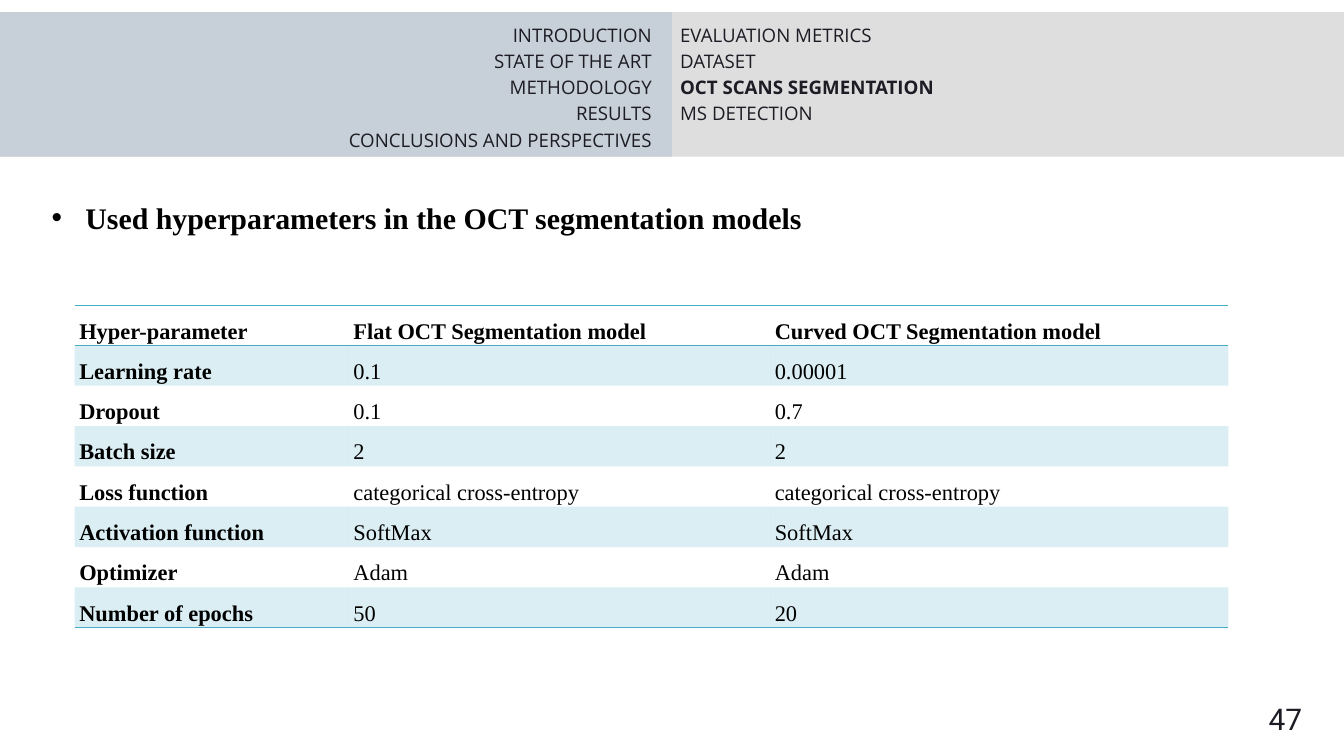
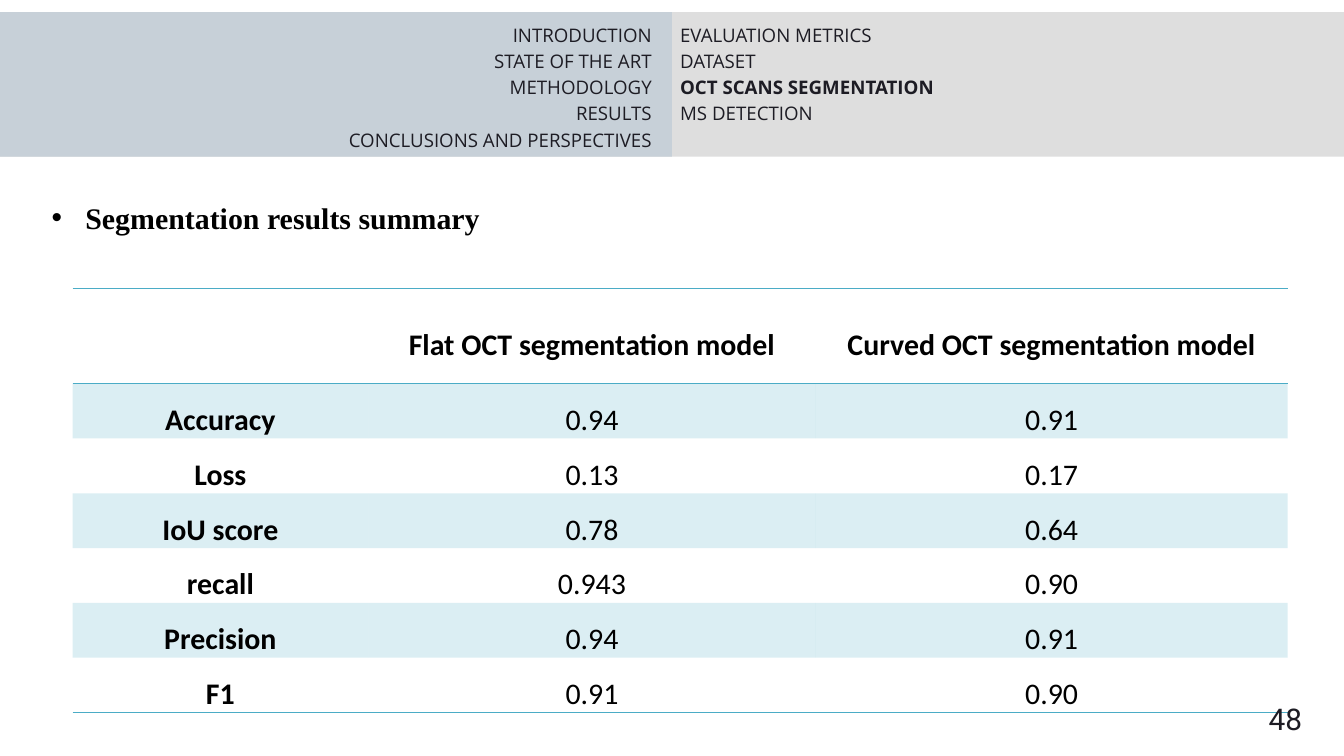
from dataclasses import dataclass

from lxml import etree
from pptx import Presentation, util as u
from pptx.dml.color import RGBColor
from pptx.enum import shapes as sh, text as tx
from pptx.oxml import ns

COLS, ROWS = 20, 11.25
WIDE, HIGH = u.Inches(20), u.Inches(11.25)
INK, BLACK, TEAL = "1D1C24", "000000", "4BACC6"
LEFT, MID, RIGHT, EVEN = (tx.PP_ALIGN.LEFT, tx.PP_ALIGN.CENTER,
                          tx.PP_ALIGN.RIGHT, tx.PP_ALIGN.JUSTIFY)


def cols(n: float) -> int:
    return round(WIDE * n / COLS)


def rows(n: float) -> int:
    return round(HIGH * n / ROWS)


@dataclass(frozen=True)
class Box:
    """Place on the grid: columns across, rows down."""
    x: float
    y: float
    w: float
    h: float

    def place(self) -> tuple[int, int, int, int]:
        return cols(self.x), rows(self.y), cols(self.w), rows(self.h)


@dataclass(frozen=True)
class Font:
    name: str
    size: int
    color: str = INK
    bold: bool = False


@dataclass(frozen=True)
class Band:
    box: Box
    color: str


@dataclass(frozen=True)
class Menu:
    box: Box
    align: tx.PP_ALIGN
    items: list[str]
    active: str = ""


@dataclass(frozen=True)
class Grid:
    x: float
    y: float
    widths: list[float]
    head: float
    row: float
    font: str
    size: int
    align: tx.PP_ALIGN
    cells: list[list[str]]


@dataclass(frozen=True)
class Page:
    title: str
    number: int
    grid: Grid


BANDS = [Band(Box(0, 0.18, COLS, 2.15), "DEDEDE"),
         Band(Box(0, 0.18, COLS / 2, 2.15), "C7D0D8")]
MENUS = [
    Menu(Box(0, 0.3, 9.7, 2.33), RIGHT,
         ["INTRODUCTION", "STATE OF THE ART", "METHODOLOGY", "RESULTS",
          "CONCLUSIONS AND PERSPECTIVES"]),
    Menu(Box(10.12, 0.3, 9.58, 1.55), EVEN,
         ["EVALUATION METRICS", "DATASET", "OCT SCANS SEGMENTATION",
          "MS DETECTION"], "OCT SCANS SEGMENTATION"),
]
TITLE = Box(0.67, 2.92, 12.33, 0.64)
NUMBER = Box(18.88, 10.51, 0.56, 0.47)

PAGES = [
    Page("Used hyperparameters in the OCT segmentation models", 47, Grid(
        1.11, 4.54, [4.08, 6.27, 6.82], 0.6, 0.6, "Times New Roman", 24, EVEN, [
            ["Hyper-parameter", "Flat OCT Segmentation model",
             "Curved OCT Segmentation model"],
            ["Learning rate", "0.1", "0.00001"],
            ["Dropout", "0.1", "0.7"],
            ["Batch size", "2", "2"],
            ["Loss function", "categorical cross-entropy",
             "categorical cross-entropy"],
            ["Activation function", "SoftMax", "SoftMax"],
            ["Optimizer", "Adam", "Adam"],
            ["Number of epochs", "50", "20"],
        ])),
    Page("Segmentation results summary", 48, Grid(
        1.08, 4.29, [4.4, 6.66, 7.02], 1.42, 0.8, "Calibri", 32, MID, [
            ["", "Flat OCT segmentation model", "Curved OCT segmentation model"],
            ["Accuracy", "0.94", "0.91"],
            ["Loss", "0.13", "0.17"],
            ["IoU score", "0.78", "0.64"],
            ["recall", "0.943", "0.90"],
            ["Precision", "0.94", "0.91"],
            ["F1", "0.91", "0.90"],
        ])),
]


def rgb(code: str) -> RGBColor:
    return RGBColor.from_string(code)


def node(up, tag: str, **attrs):
    return etree.SubElement(up, ns.qn(tag), attrs)


def style(par, font: Font, align: tx.PP_ALIGN) -> None:
    par.alignment = align
    for run in par.runs:
        run.font.name, run.font.size = font.name, u.Pt(font.size)
        run.font.bold = font.bold
        run.font.color.rgb = rgb(font.color)


def put(shape, box: Box, inset: bool = False) -> None:
    """Move a text shape and reset its frame."""
    shape.left, shape.top, shape.width, shape.height = box.place()
    frame = shape.text_frame
    frame.word_wrap = True
    frame.auto_size = tx.MSO_AUTO_SIZE.NONE
    frame.vertical_anchor = tx.MSO_ANCHOR.TOP
    if not inset:
        frame.margin_left = frame.margin_right = 0
        frame.margin_top = frame.margin_bottom = 0


def indent(par, hang: int, mark: str = "") -> None:
    """Set the hanging indent and the bullet, if any."""
    props = par._p.get_or_add_pPr()
    props.set("marL", str(hang))
    props.set("indent", str(-hang))
    if mark:
        node(props, "a:buFont", typeface="Arial")
        node(props, "a:buChar", char=mark)
    else:
        node(props, "a:buNone")


def draw_band(slide, band: Band, depth: int) -> None:
    bar = slide.shapes.add_shape(sh.MSO_SHAPE.RECTANGLE, *band.box.place())
    bar.shadow.inherit = False
    bar.fill.solid()
    bar.fill.fore_color.rgb = rgb(band.color)
    bar.line.fill.background()
    slide.shapes._spTree.insert(2 + depth, bar._element)


def draw_menu(shape, menu: Menu) -> None:
    put(shape, menu.box)
    shape.text_frame.text = "\n".join(menu.items)
    for par in shape.text_frame.paragraphs:
        indent(par, 0)
        par.line_spacing, par.space_before = u.Pt(28), u.Pt(0)
        style(par, Font("Open Sans", 20, bold=par.text == menu.active), menu.align)


def draw_title(shape, words: str) -> None:
    put(shape, TITLE, inset=True)
    shape.text_frame.text = words
    par = shape.text_frame.paragraphs[0]
    indent(par, cols(0.5), "•")
    style(par, Font("Times New Roman", 32, BLACK, True), LEFT)


def draw_number(slide, number: int) -> None:
    box = slide.shapes.add_textbox(*NUMBER.place())
    put(box, NUMBER)
    box.text_frame.word_wrap = False
    box.text_frame.text = str(number)
    par = box.text_frame.paragraphs[0]
    par.line_spacing = u.Pt(32)
    style(par, Font("Roboto", 32), LEFT)


def rule(cell, edges: str) -> None:
    """Draw the named edges of a cell and clear the others."""
    props = cell._tc.get_or_add_tcPr()
    for edge in "LRTB":
        line = node(props, f"a:ln{edge}", w=str(u.Pt(1)))
        if edge in edges:
            node(node(line, "a:solidFill"), "a:srgbClr", val=TEAL)
        else:
            node(line, "a:noFill")


def tint(cell, shaded: bool) -> None:
    if not shaded:
        cell.fill.background()
        return
    cell.fill.solid()
    cell.fill.fore_color.rgb = rgb(TEAL)
    color = cell._tc.tcPr.find(".//" + ns.qn("a:solidFill") + "[last()]/"
                               + ns.qn("a:srgbClr"))
    for color in cell._tc.tcPr.findall(ns.qn("a:solidFill") + "/"
                                       + ns.qn("a:srgbClr")):
        node(color, "a:alpha", val="20000")


def draw_grid(slide, grid: Grid) -> None:
    last = len(grid.cells) - 1
    box = Box(grid.x, grid.y, sum(grid.widths), grid.head + last * grid.row)
    table = slide.shapes.add_table(last + 1, len(grid.widths), *box.place()).table
    table.first_row = table.horz_banding = False
    for col, width in zip(table.columns, grid.widths):
        col.width = cols(width)
    for r, line in enumerate(grid.cells):
        table.rows[r].height = rows(grid.row if r else grid.head)
        edges = ("T" if r < 2 else "") + ("B" if r in (0, last) else "")
        for c, words in enumerate(line):
            cell = table.cell(r, c)
            rule(cell, edges)
            tint(cell, r % 2 == 1)
            cell.vertical_anchor = tx.MSO_ANCHOR.MIDDLE
            cell.margin_left = cell.margin_right = cols(0.07)
            cell.margin_top = cell.margin_bottom = 0
            cell.text_frame.text = words
            par = cell.text_frame.paragraphs[0]
            par.line_spacing, par.space_after = 1.5, u.Pt(10)
            bold = r == 0 or c == 0
            style(par, Font(grid.font, grid.size, BLACK, bold), grid.align)


def draw_page(deck, page: Page) -> None:
    slide = deck.slides.add_slide(deck.slide_layouts[3])
    title, *lists = slide.placeholders
    for depth, band in enumerate(BANDS):
        draw_band(slide, band, depth)
    for shape, menu in zip(lists, MENUS):
        draw_menu(shape, menu)
    draw_title(title, page.title)
    draw_grid(slide, page.grid)
    draw_number(slide, page.number)


def main() -> None:
    deck = Presentation()
    deck.slide_width, deck.slide_height = WIDE, HIGH
    for page in PAGES:
        draw_page(deck, page)
    deck.save("out.pptx")


if __name__ == "__main__":
    main()
